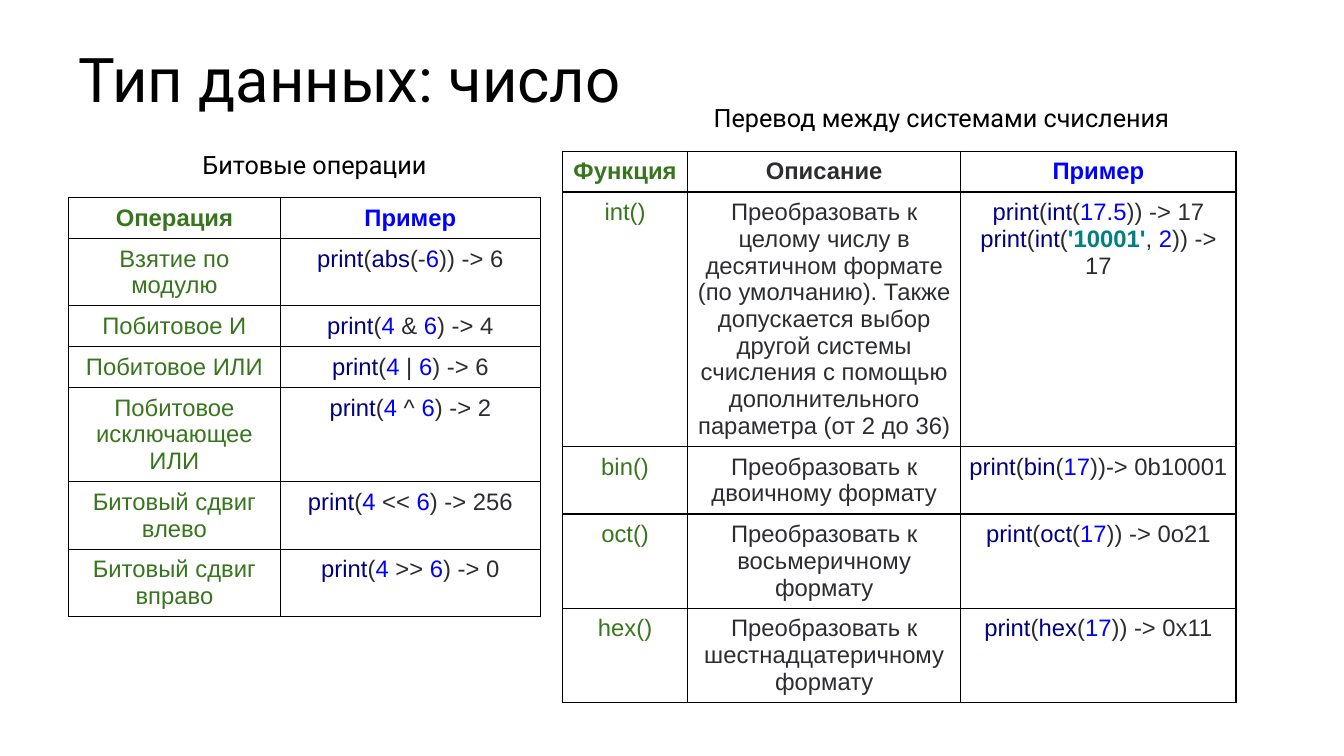
"""Build a slide on number types: bitwise operations and numeral system conversion."""
from lxml import etree
from pptx import Presentation
from pptx.dml.color import RGBColor
from pptx.enum.text import MSO_ANCHOR, MSO_AUTO_SIZE, PP_ALIGN
from pptx.oxml.ns import qn
from pptx.util import Pt

PX = 9144
LEFT, CENTER = PP_ALIGN.LEFT, PP_ALIGN.CENTER
BOTTOM = MSO_ANCHOR.BOTTOM
NO_AUTOFIT = MSO_AUTO_SIZE.NONE
BLACK, DARK, GREEN = "000000", "2C2D30", "38761D"
BLUE, NAVY, TEAL = "0000FF", "000080", "008080"
ROW_HEIGHT, CELL_MARGIN = 40, 7
SEP = "~"

BITWISE = [
    ("Операция", "Пример"),
    ("Взятие по модулю", "print~(~abs~(-~6~)) -> 6"),
    ("Побитовое И", "print~(~4 ~& ~6~) -> 4"),
    ("Побитовое ИЛИ", "print~(~4 ~| ~6~) -> 6"),
    ("Побитовое исключающее ИЛИ", "print~(~4 ~^ ~6~) -> 2"),
    ("Битовый сдвиг влево", "print~(~4 ~<< ~6~) -> 256"),
    ("Битовый сдвиг вправо", "print~(~4 ~>> ~6~) -> 0"),
]
CONVERSION = [
    ("Функция", "Описание", "Пример"),
    ("int()",
     "Преобразовать к целому числу в десятичном формате (по умолчанию). "
     "Также допускается выбор другой системы счисления с помощью "
     "дополнительного параметра (от 2 до 36)",
     "print~(~int~(~17.5~)) -> 17\nprint~(~int~(~'10001'~, ~2~)) -> 17"),
    ("bin()", "Преобразовать к двоичному формату",
     "print~(~bin~(~17~))-> 0b10001"),
    ("oct()", "Преобразовать к восьмеричному формату",
     "print~(~oct~(~17~)) -> 0o21"),
    ("hex()", "Преобразовать к шестнадцатеричному формату",
     "print~(~hex~(~17~)) -> 0x11"),
]


def px(*values):
    """Turn pixel lengths into EMU."""
    return [v * PX for v in values]


def rgb(color):
    """Turn a hex string into a colour."""
    return RGBColor.from_string(color)


def add_run(p, text, font, size, color, bold=False):
    """Append a formatted run to a paragraph."""
    r = p.add_run()
    r.text = text
    r.font.name, r.font.size, r.font.bold = font, Pt(size), bold
    r.font.color.rgb = rgb(color)


def set_heading(sp, text, size):
    """Fill a title or caption with one bottom-anchored line."""
    tf = sp.text_frame
    tf.word_wrap = True
    tf.auto_size = NO_AUTOFIT
    tf.vertical_anchor = BOTTOM
    p = tf.paragraphs[0]
    p.alignment, p.line_spacing = LEFT, 0.9
    add_run(p, text, "Roboto", size, BLACK)


def add_caption(s, text, *box):
    """Add a table caption."""
    set_heading(s.shapes.add_textbox(*px(*box)), text, 18)


def token_color(token):
    """Choose the syntax colour of a code token."""
    if token.isalpha():
        return NAVY
    if token.startswith("'"):
        return TEAL
    return BLUE if token[0].isdigit() else DARK


def add_code(p, line):
    """Write a line of code with syntax colours."""
    for token in line.split(SEP):
        color = token_color(token)
        add_run(p, token, "Arial", 17, color, color == TEAL)


def set_borders(cell):
    """Draw a thin black line on each side of a cell."""
    tc_pr = cell._tc.get_or_add_tcPr()
    for i, side in enumerate(("a:lnL", "a:lnR", "a:lnT", "a:lnB")):
        ln = etree.Element(qn(side), w=str(Pt(1)))
        fill = etree.SubElement(ln, qn("a:solidFill"))
        etree.SubElement(fill, qn("a:srgbClr"), val=BLACK)
        tc_pr.insert(i, ln)


def fill_cell(cell, text, color, bold):
    """Format a cell and write its plain text or code."""
    cell.fill.background()
    set_borders(cell)
    margin = CELL_MARGIN * PX
    cell.margin_left = cell.margin_right = margin
    cell.margin_top = cell.margin_bottom = margin
    tf = cell.text_frame
    for i, line in enumerate(text.split("\n")):
        p = tf.add_paragraph() if i else tf.paragraphs[0]
        p.alignment = CENTER
        if SEP in line:
            add_code(p, line)
        else:
            add_run(p, line, "Arial", 17, color, bold)


def add_grid(s, left, top, widths, colors, rows):
    """Add a bordered table with one text colour per column."""
    box = px(left, top, sum(widths), ROW_HEIGHT * len(rows))
    table = s.shapes.add_table(len(rows), len(widths), *box).table
    table.first_row = table.horz_banding = False
    for column, width in zip(table.columns, px(*widths)):
        column.width = width
    for i, row in enumerate(rows):
        for j, text in enumerate(row):
            fill_cell(table.cell(i, j), text, colors[j], i == 0)


def main():
    """Build and save the slide."""
    prs = Presentation()
    prs.slide_width, prs.slide_height = px(1333, 750)
    s = prs.slides.add_slide(prs.slide_layouts[5])
    title = s.shapes.title
    title.left, title.top, title.width, title.height = px(68, 56, 1182, 64)
    set_heading(title, "Тип данных: число", 44)
    add_caption(s, "Битовые операции", 191, 150, 258, 33)
    add_grid(s, 68, 196, (210, 258), (GREEN, BLUE), BITWISE)
    add_caption(s, "Перевод между системами счисления", 698, 104, 477, 33)
    add_grid(s, 558, 150, (124, 271, 273), (GREEN, DARK, BLUE), CONVERSION)
    prs.save("out.pptx")


if __name__ == "__main__":
    main()
